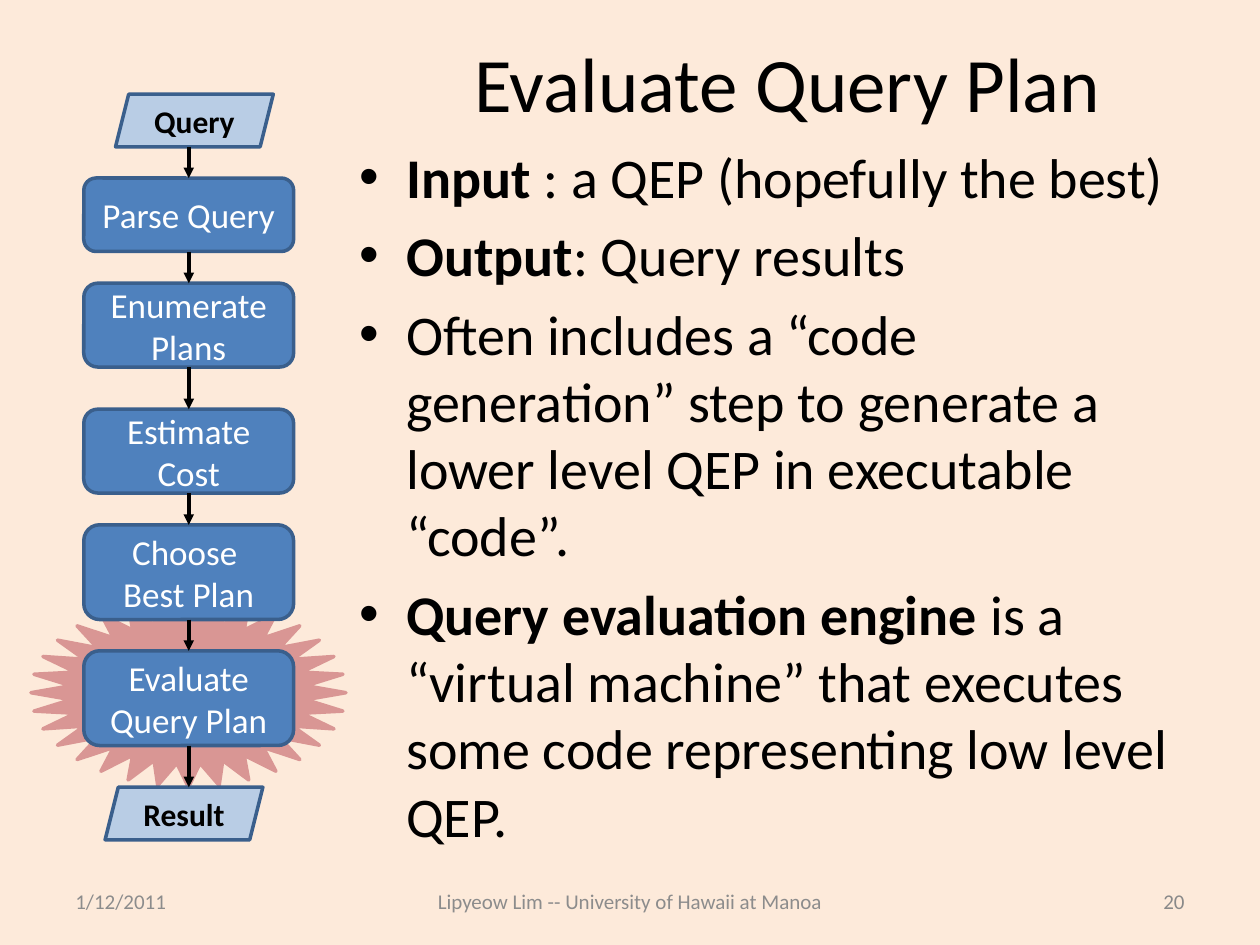
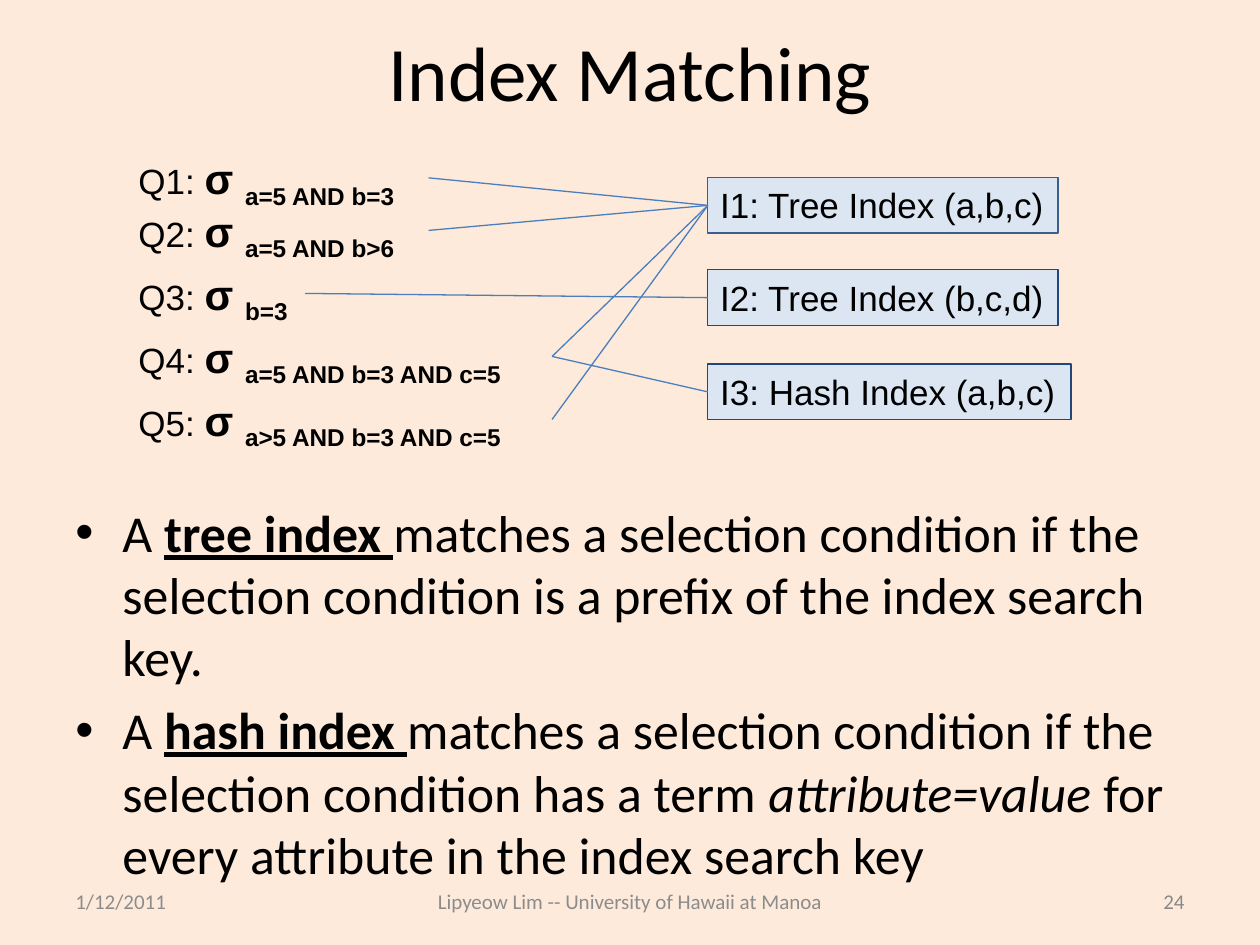
from pptx import Presentation
from pptx.dml.color import RGBColor
from pptx.enum.shapes import MSO_CONNECTOR, MSO_SHAPE
from pptx.enum.text import MSO_ANCHOR, MSO_AUTO_SIZE, PP_ALIGN
from pptx.oxml.ns import qn
from pptx.util import Cm, Pt
from lxml.etree import SubElement

CREAM, BLACK, WHITE = "FDEADA", "000000", "FFFFFF"
BLUE, EDGE, NAVY, WIRE = "4F81BD", "3A5F8C", "1F497D", "4B7EBC"
SKY, PALE, ROSE = "B9CDE5", "DCE6F2", "D99694"
GREY, DIM = "8C8C8C", "898989"
LEFT, MID, RIGHT = PP_ALIGN.LEFT, PP_ALIGN.CENTER, PP_ALIGN.RIGHT
CREDIT = "Lipyeow Lim -- University of Hawaii at Manoa"

STEPS = [
    ("Query", 0.64, 1.06, 0),
    ("Parse Query", 0, 1.48, 0.63),
    ("Enumerate Plans", 0, 1.69, 0.64),
    ("Estimate Cost", 0, 1.69, 0.85),
    ("Choose \nBest Plan", 0, 1.91, 0.64),
    ("Evaluate Query Plan", 0, 1.91, 0.63),
    ("Result", 0.43, 1.06, 0.84),
]
PLAN = [
    [("Input", "b"), (" : a QEP (hopefully the best)", "")],
    [("Output", "b"), (": Query results", "")],
    [("Often includes a “code generation” step to generate a lower level "
      "QEP in executable “code”.", "")],
    [("Query evaluation engine ", "b"),
     ("is a “virtual machine” that executes some code representing "
      "low level QEP.", "")],
]
MATCH = [
    [("A ", ""), ("tree index ", "bu"),
     ("matches a selection condition if the selection condition is a "
      "prefix of the index search key.", "")],
    [("A ", ""), ("hash index ", "bu"),
     ("matches a selection condition if the selection condition has a term", ""),
     (" attribute=value ", "i"),
     ("for every attribute in the index search key", "")],
]
QUERIES = [
    ("a=5 AND b=3", 0, 6.1),
    ("a=5 AND b>6", 1.06, 6.1),
    ("b=3", 2.33, 3.61),
    ("a=5 AND b=3 AND c=5", 3.6, 8.59),
    ("a>5 AND b=3 AND c=5", 4.87, 8.59),
]
INDEXES = [
    ("Tree Index (a,b,c)", 0.63, 7.06, EDGE),
    ("Tree Index (b,c,d)", 2.49, 7.06, NAVY),
    ("Hash Index (a,b,c)", 4.39, 7.32, NAVY),
]
LINKS = [(0, 0), (1, 0), (2, 1), (3, 0), (3, 2), (4, 0)]


def color(code):
    return RGBColor.from_string(code)


def write(para, text, size, tint=BLACK, style="", face="Calibri"):
    for i, line in enumerate(text.split("\n")):
        if i:
            para.add_line_break()
        run = para.add_run()
        run.text = line
        font = run.font
        font.name, font.size = face, Pt(size)
        font.color.rgb = color(tint)
        if "b" in style:
            font.bold = True
        if "i" in style:
            font.italic = True
        if "u" in style:
            font.underline = True
    return run


def label(slide, box, text, size, tint, align):
    frame = slide.shapes.add_textbox(*map(Cm, box)).text_frame
    frame.word_wrap = True
    frame.vertical_anchor = MSO_ANCHOR.MIDDLE
    para = frame.paragraphs[0]
    para.alignment = align
    write(para, text, size, tint)


def block(slide, kind, box, fill, edge, width):
    shape = slide.shapes.add_shape(kind, *map(Cm, box))
    shape.shadow.inherit = False
    shape.fill.solid()
    shape.fill.fore_color.rgb = color(fill)
    shape.line.color.rgb = color(edge)
    shape.line.width = Pt(width)
    return shape


def link(slide, ends, tint, width, arrow=False):
    wire = slide.shapes.add_connector(MSO_CONNECTOR.STRAIGHT, *map(Cm, ends))
    wire.line.color.rgb = color(tint)
    wire.line.width = Pt(width)
    if arrow:
        SubElement(wire.line._get_or_add_ln(), qn("a:tailEnd"), type="triangle")
    SubElement(wire._element.spPr, qn("a:effectLst"))
    return wire


def start(deck, title, box, number):
    slide = deck.slides.add_slide(deck.slide_layouts[5])
    head = slide.shapes.title
    head.left, head.top, head.width, head.height = map(Cm, box)
    frame = head.text_frame
    frame.vertical_anchor = MSO_ANCHOR.MIDDLE
    frame.paragraphs[0].alignment = MID
    write(frame.paragraphs[0], title, 44)
    for left, width, text, tint, align in (
        (1.27, 5.92, "1/12/2011", GREY, LEFT),
        (7.62, 10.16, CREDIT, GREY, MID),
        (18.21, 5.92, number, DIM, RIGHT),
    ):
        label(slide, (left, 17.65, width, 1.02), text, 12, tint, align)
    return slide


def bullets(slide, box, items, size):
    frame = slide.shapes.add_textbox(*map(Cm, box)).text_frame
    frame.word_wrap = True
    for i, item in enumerate(items):
        para = frame.add_paragraph() if i else frame.paragraphs[0]
        props = para._p.get_or_add_pPr()
        props.set("marL", str(Cm(0.95)))
        props.set("indent", str(-Cm(0.95)))
        SubElement(props, qn("a:buFont"), typeface="Arial")
        SubElement(props, qn("a:buChar"), char="•")
        if i:
            para.space_before = Pt(6.5)
        for text, style in item:
            write(para, text, size, style=style)


def flow(slide, left, top):
    width = 4.23
    axis = left + width / 2
    block(slide, MSO_SHAPE.STAR_32_POINT,
          (axis - 3.18, top + 10.16, 6.35, 3.81), ROSE, ROSE, 2)
    last, foot = None, top
    for text, shift, height, gap in STEPS:
        data = shift > 0
        y = foot + gap
        if data:
            shape = block(slide, MSO_SHAPE.PARALLELOGRAM,
                          (left + shift, y, 3.18, height), SKY, EDGE, 2)
        else:
            shape = block(slide, MSO_SHAPE.ROUNDED_RECTANGLE,
                          (left, y, width, height), BLUE, EDGE, 2)
        frame = shape.text_frame
        frame.word_wrap = True
        frame.vertical_anchor = MSO_ANCHOR.MIDDLE
        para = frame.paragraphs[0]
        para.alignment = MID
        if data:
            write(para, text, 18, style="b")
        else:
            write(para, text, 20, WHITE)
        if gap:
            wire = link(slide, (axis, foot, axis, y), BLACK, 2, True)
            if last:
                wire.begin_connect(last, 2)
            if not data:
                wire.end_connect(shape, 0)
        last, foot = None if data else shape, y + height


def fit(shape):
    frame = shape.text_frame
    frame.word_wrap = False
    frame.auto_size = MSO_AUTO_SIZE.SHAPE_TO_FIT_TEXT
    frame.vertical_anchor = MSO_ANCHOR.TOP
    frame.paragraphs[0].alignment = LEFT
    return frame.paragraphs[0]


def graph(slide, left, top):
    asks, trees = [], []
    for i, (term, y, width) in enumerate(QUERIES, 1):
        shape = slide.shapes.add_textbox(*map(Cm, (left, top + y, width, 1.27)))
        para = fit(shape)
        write(para, f"Q{i}: ", 20, face="Arial")
        write(para, "σ ", 24, style="b", face="Arial")
        run = write(para, term, 24, style="b", face="Arial")
        run._r.get_or_add_rPr().set("baseline", "-25000")
        asks.append(shape)
    for i, (name, y, width, edge) in enumerate(INDEXES, 1):
        shape = block(slide, MSO_SHAPE.RECTANGLE,
                      (left + 11.73, top + y, width, 1.12), PALE, edge, 0.75)
        write(fit(shape), f"I{i}: {name}", 20, face="Arial")
        trees.append(shape)
    for ask, tree in LINKS:
        wire = link(slide, (0, 0, 1, 1), WIRE, 0.75)
        wire.begin_connect(asks[ask], 3)
        wire.end_connect(trees[tree], 1)


def main():
    deck = Presentation()
    deck.slide_width, deck.slide_height = Cm(25.4), Cm(19.05)
    back = deck.slide_master.background.fill
    back.solid()
    back.fore_color.rgb = color(CREAM)

    slide = start(deck, "Evaluate Query Plan", (7.62, 0.76, 16.51, 1.78), "20")
    bullets(slide, (6.99, 2.74, 17.14, 15.04), PLAN, 32)
    flow(slide, 1.69, 1.9)

    slide = start(deck, "Index Matching", (1.27, 0.76, 22.86, 1.35), "24")
    bullets(slide, (1.27, 9.96, 22.86, 7.06), MATCH, 29.6)
    graph(slide, 2.54, 2.95)
    deck.save("out.pptx")


if __name__ == "__main__":
    main()
